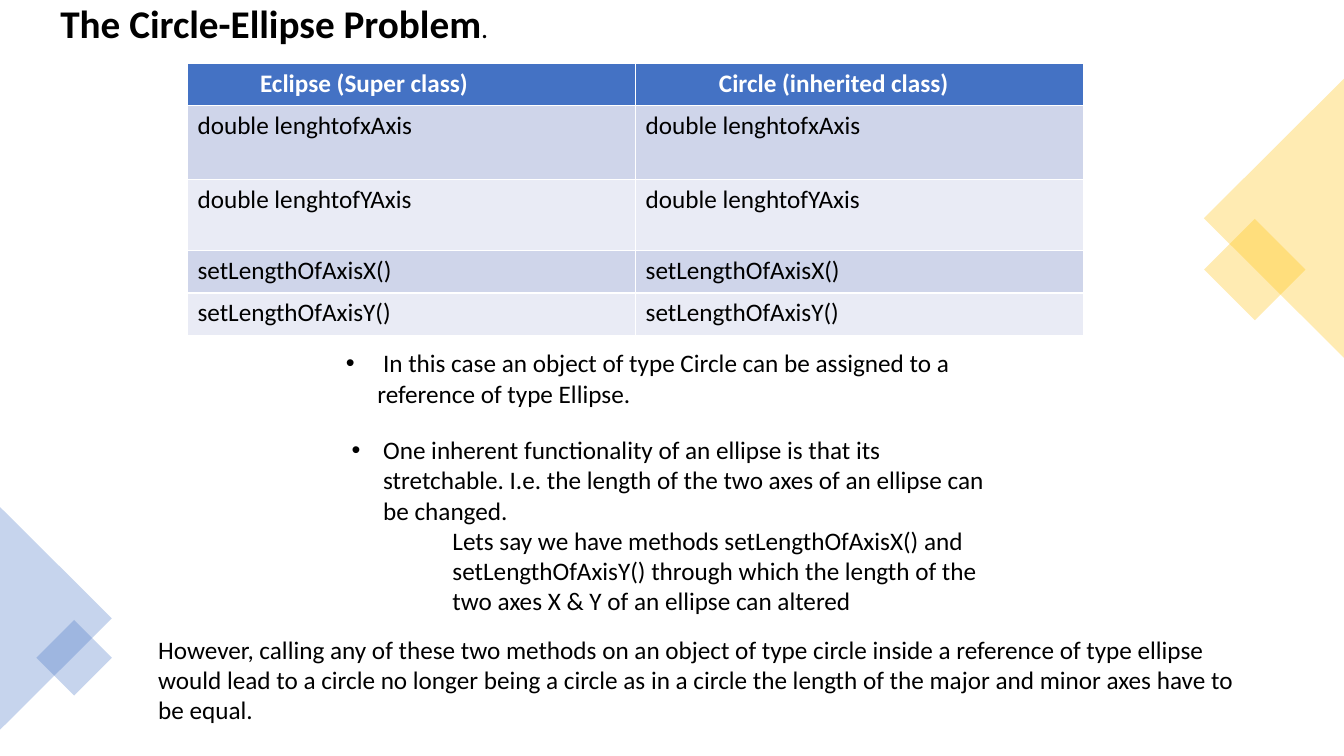
from dataclasses import dataclass

from pptx import Presentation
from pptx.dml.color import RGBColor
from pptx.enum.shapes import MSO_SHAPE
from pptx.oxml import parse_xml
from pptx.oxml.ns import nsdecls, qn
from pptx.slide import Slide
from pptx.text.text import _Paragraph
from pptx.util import Emu, Inches, Pt

SLIDE_WIDTH, SLIDE_HEIGHT = Inches(13.33), Inches(7.5)
FONT = "Calibri"
BODY_SIZE = 18
BLUE = RGBColor(0x44, 0x72, 0xC4)
AMBER = RGBColor(0xFF, 0xC0, 0x00)
WHITE = RGBColor(0xFF, 0xFF, 0xFF)
BLACK = RGBColor(0x00, 0x00, 0x00)
BANDS = (RGBColor(0xCF, 0xD5, 0xEA), RGBColor(0xE9, 0xEB, 0xF5))


def across(percent: float) -> Emu:
    return Emu(round(SLIDE_WIDTH * percent / 100))


def down(percent: float) -> Emu:
    return Emu(round(SLIDE_HEIGHT * percent / 100))


@dataclass(frozen=True)
class Area:
    left: float
    top: float
    width: float
    height: float

    def lengths(self) -> tuple[Emu, Emu, Emu, Emu]:
        return across(self.left), down(self.top), across(self.width), down(self.height)


@dataclass(frozen=True)
class Ornament:
    outline: MSO_SHAPE
    area: Area
    rotation: int
    color: RGBColor


@dataclass(frozen=True)
class Passage:
    text: str
    indent: float = 0
    bulleted: bool = False


@dataclass(frozen=True)
class Note:
    area: Area
    passages: tuple[Passage, ...]


ORNAMENTS = (
    Ornament(MSO_SHAPE.RECTANGLE, Area(90.7, 30.93, 5.33, 9.47), 45, AMBER),
    Ornament(MSO_SHAPE.ISOSCELES_TRIANGLE, Area(84.4, 19.6, 20.78, 18.53), 270, AMBER),
    Ornament(MSO_SHAPE.ISOSCELES_TRIANGLE, Area(-4.13, 74.4, 16.58, 14.8), 90, BLUE),
    Ornament(MSO_SHAPE.RECTANGLE, Area(3.53, 83.47, 3.98, 7.07), 45, BLUE),
)

TITLE_AREA = Area(3.75, 0, 89.5, 64.13)
TABLE_AREA = Area(13.95, 8.4, 66.69, 36)
ROW_HEIGHTS = (5.6, 9.73, 9.4, 5.63, 5.63)
HEADERS = ("Eclipse (Super class)", "Circle (inherited class)")
HEADER_INDENTS = (5.4, 6.2)
MEMBERS = (
    "double lenghtofxAxis",
    "double lenghtofYAxis",
    "setLengthOfAxisX()",
    "setLengthOfAxisY()",
)

HANGING = 2.34
NOTES = (
    Note(Area(25, 45.33, 50, 17.47), (
        Passage(" In this case an object of type Circle can be assigned to a "
                "reference of type Ellipse.", HANGING, True),
    )),
    Note(Area(25.43, 56.8, 50, 25.6), (
        Passage("One inherent functionality of an ellipse is that its stretchable. "
                "I.e. the length of the two axes of an ellipse can be changed.",
                HANGING, True),
        Passage("Lets say we have methods setLengthOfAxisX() and setLengthOfAxisY() "
                "through which the length of the two axes X & Y of an ellipse can "
                "altered", 7.5),
    )),
    Note(Area(11.03, 83.2, 82.97, 13.47), (
        Passage("However, calling any of these two methods on an object of type "
                "circle inside a reference of type ellipse would lead to a circle no "
                "longer being a circle as in a circle the length of the major and "
                "minor axes have to be equal."),
    )),
)


def style(paragraph: _Paragraph, color: RGBColor = BLACK, bold: bool = False) -> None:
    for run in paragraph.runs:
        run.font.name = FONT
        run.font.size = Pt(BODY_SIZE)
        run.font.bold = bold
        run.font.color.rgb = color


def draw_ornament(slide: Slide, ornament: Ornament) -> None:
    shape = slide.shapes.add_shape(ornament.outline, *ornament.area.lengths())
    shape.shadow.inherit = False
    shape.rotation = ornament.rotation
    shape.line.fill.background()
    shape.fill.solid()
    shape.fill.fore_color.rgb = ornament.color
    tint = shape._element.spPr.find(f".//{qn('a:srgbClr')}")
    tint.append(parse_xml(f'<a:alpha {nsdecls("a")} val="30000"/>'))


def draw_title(slide: Slide) -> None:
    frame = slide.shapes.add_textbox(*TITLE_AREA.lengths()).text_frame
    frame.word_wrap = True
    heading = frame.paragraphs[0]
    heading.line_spacing = 0.9
    for text, size, bold in (("The Circle-Ellipse Problem", 28, True), (".", 20, False)):
        run = heading.add_run()
        run.text = text
        run.font.name = FONT
        run.font.size = Pt(size)
        run.font.bold = bold
        run.font.color.rgb = BLACK


def draw_class_table(slide: Slide) -> None:
    rows = (HEADERS, *((member, member) for member in MEMBERS))
    table = slide.shapes.add_table(
        len(rows), len(HEADERS), *TABLE_AREA.lengths()).table
    for row_index, (texts, height) in enumerate(zip(rows, ROW_HEIGHTS)):
        table.rows[row_index].height = down(height)
        is_header = row_index == 0
        for column, text in enumerate(texts):
            cell = table.cell(row_index, column)
            cell.text_frame.text = text
            cell.fill.solid()
            cell.fill.fore_color.rgb = BLUE if is_header else BANDS[(row_index - 1) % 2]
            if is_header:
                cell.margin_left = across(HEADER_INDENTS[column])
            style(cell.text_frame.paragraphs[0], WHITE if is_header else BLACK, is_header)


def draw_note(slide: Slide, note: Note) -> None:
    frame = slide.shapes.add_textbox(*note.area.lengths()).text_frame
    frame.word_wrap = True
    frame.text = "\n".join(passage.text for passage in note.passages)
    for paragraph, passage in zip(frame.paragraphs, note.passages):
        style(paragraph)
        properties = paragraph._p.get_or_add_pPr()
        properties.set("marL", str(across(passage.indent)))
        if passage.bulleted:
            properties.set("indent", str(-across(passage.indent)))
            properties.append(parse_xml(f'<a:buFont {nsdecls("a")} typeface="Arial"/>'))
            properties.append(parse_xml(f'<a:buChar {nsdecls("a")} char="•"/>'))


def main() -> None:
    presentation = Presentation()
    presentation.slide_width = SLIDE_WIDTH
    presentation.slide_height = SLIDE_HEIGHT
    slide = presentation.slides.add_slide(presentation.slide_layouts[6])
    draw_title(slide)
    for ornament in ORNAMENTS:
        draw_ornament(slide, ornament)
    draw_class_table(slide)
    for note in NOTES:
        draw_note(slide, note)
    presentation.save("out.pptx")


if __name__ == "__main__":
    main()
